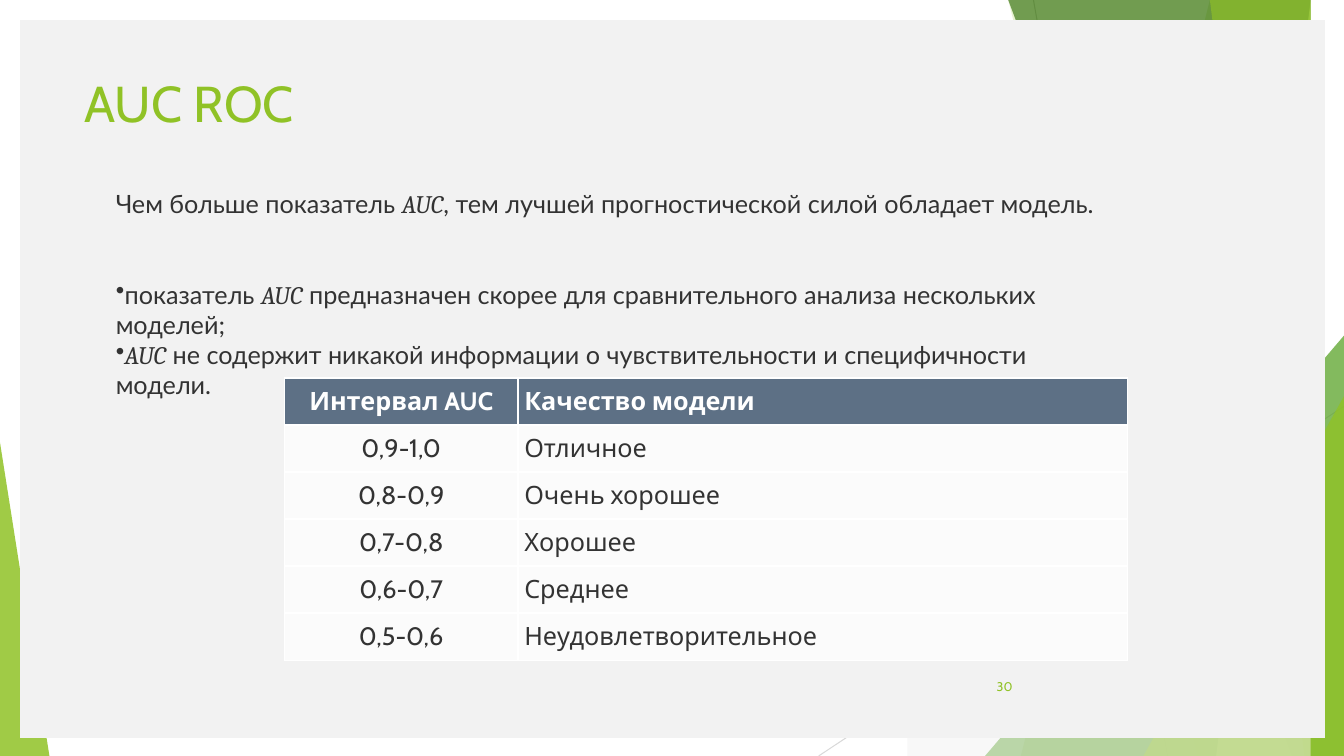
from dataclasses import dataclass

from lxml import etree
from pptx import Presentation
from pptx import util as u
from pptx.dml.color import RGBColor
from pptx.enum import shapes, text
from pptx.oxml import ns


@dataclass(frozen=True)
class Theme:
    green: str = "90C226"
    leaf: str = "54A021"
    forest: str = "3F7819"
    lime: str = "C0E474"
    panel: str = "F2F2F2"
    ink: str = "333333"
    white: str = "FFFFFF"
    header: str = "5D7085"
    row: str = "FBFBFB"
    guide: str = "BFBFBF"
    pale_guide: str = "D9D9D9"
    heading_font: str = "Cabin"
    body_font: str = "Lato"
    term_font: str = "Cambria"
    title_size: int = 36
    body_size: int = 18
    number_size: int = 9


@dataclass(frozen=True)
class Guide:
    start: tuple[float, float]
    end: tuple[float, float]
    color: str


@dataclass(frozen=True)
class Facet:
    points: tuple[tuple[float, float], ...]
    color: str
    opacity: int


@dataclass(frozen=True)
class Preset:
    kind: shapes.MSO_SHAPE
    box: tuple[float, float, float, float]
    color: str
    opacity: int = 100
    apex: float | None = None


@dataclass(frozen=True)
class Label:
    box: tuple[float, float, float, float]
    text: str
    size: int
    align: text.PP_ALIGN = text.PP_ALIGN.LEFT
    anchor: text.MSO_ANCHOR = text.MSO_ANCHOR.TOP


@dataclass(frozen=True)
class BodyLine:
    phrases: tuple[str, ...]
    bullet: bool = False
    space_before: int = 0


T = Theme()
W, H = 13.33, 7.5
TERM = "AUC"
TRIANGLE = shapes.MSO_SHAPE.ISOSCELES_TRIANGLE


def slant(top: float, bottom: float, color: str, opacity: int) -> Facet:
    return Facet(((top, 0), (W, 0), (W, H), (bottom, H)), color, opacity)


BACKDROP = (
    Guide((10.25, 0), (11.58, H), T.guide),
    Guide((W, 4.03), (8.12, H), T.pale_guide),
    slant(12.28, 10.04, T.green, 30),
    slant(10.5, 11.83, T.green, 20),
    Preset(TRIANGLE, (9.77, 3.33, 3.56, 4.17), T.leaf, 72, 1),
    slant(10.21, 12.91, T.forest, 70),
    slant(13.03, 11.92, T.lime, 70),
    slant(11.96, 13.18, T.green, 65),
    Preset(TRIANGLE, (11.34, 3.93, 1.99, 3.57), T.green, 80, 1),
    Preset(TRIANGLE, (0, 4.39, 0.49, 3.11), T.green, 85, 0),
    Preset(shapes.MSO_SHAPE.RECTANGLE, (0.2, 0.2, 12.94, 7.12), T.panel),
    Facet(((9.4, 0), (W, 0), (W, H), (9.4, H), (9.4, 7.3),
           (13.14, 7.3), (13.14, 0.2), (9.4, 0.2)), T.panel, 50),
)
LABELS = (
    Label((9.39, 6.61, 0.75, 0.4), "30", T.number_size,
          text.PP_ALIGN.RIGHT, text.MSO_ANCHOR.MIDDLE),
    Label((0.74, 0.67, 9.4, 1.44), "AUC ROC", T.title_size),
)
BODY = (
    BodyLine(("Чем больше показатель ", TERM,
              ", тем лучшей прогностической силой обладает модель.")),
    BodyLine(("показатель ", TERM,
              " предназначен скорее для сравнительного анализа нескольких моделей;"),
             True, 43),
    BodyLine((TERM, " не содержит никакой информации о чувствительности"
                    " и специфичности модели."), True),
)
QUALITY = (
    ("Интервал AUC", "Качество модели"),
    ("0,9-1,0", "Отличное"),
    ("0,8-0,9", "Очень хорошее"),
    ("0,7-0,8", "Хорошее"),
    ("0,6-0,7", "Среднее"),
    ("0,5-0,6", "Неудовлетворительное"),
)


def inches(values: tuple[float, ...]) -> list[int]:
    return [u.Inches(v) for v in values]


def apply(target, formats: dict) -> None:
    for name, value in formats.items():
        setattr(target, name, value)


def style(font, color: str, **formats) -> None:
    apply(font, formats)
    font.color.rgb = RGBColor.from_string(color)


def paint(sp, color: str, opacity: int) -> None:
    sp.shadow.inherit = False
    sp.line.fill.background()
    sp.fill.solid()
    sp.fill.fore_color.rgb = RGBColor.from_string(color)
    if opacity < 100:
        clr = sp._element.spPr.find(f"{ns.qn('a:solidFill')}/{ns.qn('a:srgbClr')}")
        etree.SubElement(clr, ns.qn("a:alpha"), val=str(opacity * 1000))


def draw_guide(s, guide: Guide) -> None:
    line = s.shapes.add_connector(shapes.MSO_CONNECTOR.STRAIGHT,
                                  *inches(guide.start + guide.end))
    line.line.color.rgb = RGBColor.from_string(guide.color)
    line.line.width = u.Pt(0.75)
    etree.SubElement(line._element.spPr, ns.qn("a:effectLst"))


def draw_facet(s, facet: Facet) -> None:
    first, *rest = facet.points
    builder = s.shapes.build_freeform(*first, scale=u.Inches(1))
    builder.add_line_segments(rest, close=True)
    paint(builder.convert_to_shape(), facet.color, facet.opacity)


def draw_preset(s, preset: Preset) -> None:
    sp = s.shapes.add_shape(preset.kind, *inches(preset.box))
    if preset.apex is not None:
        sp.adjustments[0] = preset.apex
    paint(sp, preset.color, preset.opacity)


def draw_label(s, label: Label) -> None:
    tf = s.shapes.add_textbox(*inches(label.box)).text_frame
    apply(tf, {"word_wrap": True, "vertical_anchor": label.anchor})
    p = tf.paragraphs[0]
    p.alignment = label.align
    r = p.add_run()
    r.text = label.text
    style(r.font, T.green, size=u.Pt(label.size), name=T.heading_font)


def draw_body(s, lines: tuple[BodyLine, ...]) -> None:
    tf = s.shapes.add_textbox(*inches((1.05, 1.82, 10.13, 1.62))).text_frame
    apply(tf, {"word_wrap": True, "auto_size": text.MSO_AUTO_SIZE.SHAPE_TO_FIT_TEXT})
    for i, line in enumerate(lines):
        p = tf.add_paragraph() if i else tf.paragraphs[0]
        if line.space_before:
            p.space_before = u.Pt(line.space_before)
        if line.bullet:
            etree.SubElement(p._p.get_or_add_pPr(), ns.qn("a:buChar"), char="•")
        for phrase in line.phrases:
            r = p.add_run()
            r.text = phrase
            term = phrase == TERM
            style(r.font, T.ink, size=u.Pt(T.body_size), italic=term,
                  name=T.term_font if term else T.body_font)


def add_border(cell, side: str) -> None:
    ln = etree.SubElement(cell._tc.get_or_add_tcPr(), ns.qn(f"a:ln{side}"),
                          w=str(u.Pt(1.5)))
    fill = etree.SubElement(ln, ns.qn("a:solidFill"))
    etree.SubElement(fill, ns.qn("a:srgbClr"), val=T.white)


def draw_table(s, rows: tuple[tuple[str, str], ...]) -> None:
    table = s.shapes.add_table(len(rows), 2, *inches((2.82, 3.75, 8.36, 2.8))).table
    for column, width in zip(table.columns, (2.32, 6.04)):
        column.width = u.Inches(width)
    for i, row in enumerate(rows):
        for j, value in enumerate(row):
            cell = table.cell(i, j)
            inner = {"L": j > 0, "R": j == 0, "T": i > 0, "B": i < len(rows) - 1}
            for side in (k for k, shown in inner.items() if shown):
                add_border(cell, side)
            cell.fill.solid()
            cell.fill.fore_color.rgb = RGBColor.from_string(T.row if i else T.header)
            apply(cell, {"vertical_anchor": text.MSO_ANCHOR.MIDDLE,
                         "margin_left": u.Inches(0.06), "margin_right": u.Inches(0.06),
                         "margin_top": u.Inches(0.08), "margin_bottom": u.Inches(0.08)})
            p = cell.text_frame.paragraphs[0]
            p.alignment = text.PP_ALIGN.LEFT if j else text.PP_ALIGN.CENTER
            r = p.add_run()
            r.text = value
            style(r.font, T.ink if i else T.white, size=u.Pt(T.body_size),
                  name=T.heading_font, bold=i == 0)


def main() -> None:
    prs = Presentation()
    apply(prs, {"slide_width": u.Inches(W), "slide_height": u.Inches(H)})
    s = prs.slides.add_slide(prs.slide_layouts[6])
    painters = {Guide: draw_guide, Facet: draw_facet, Preset: draw_preset}
    for item in BACKDROP:
        painters[type(item)](s, item)
    for label in LABELS:
        draw_label(s, label)
    draw_body(s, BODY)
    draw_table(s, QUALITY)
    prs.save("out.pptx")


if __name__ == "__main__":
    main()
